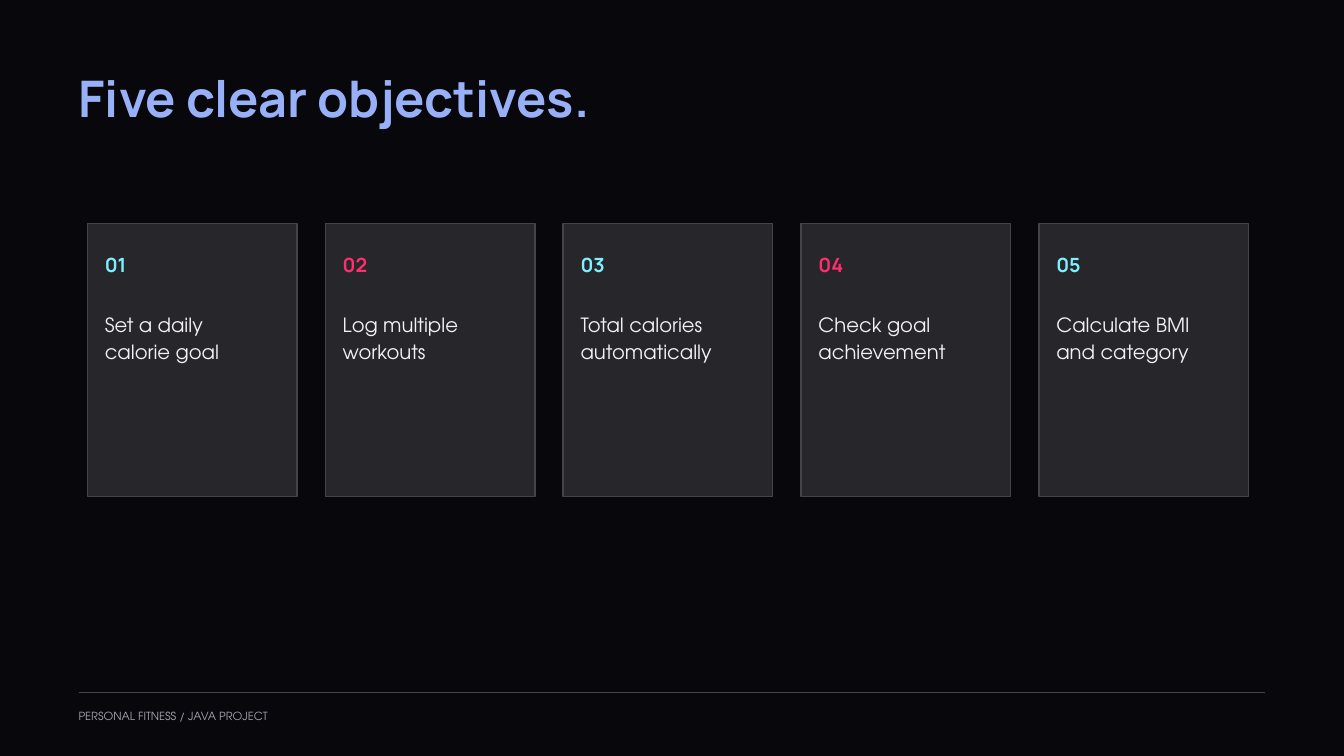
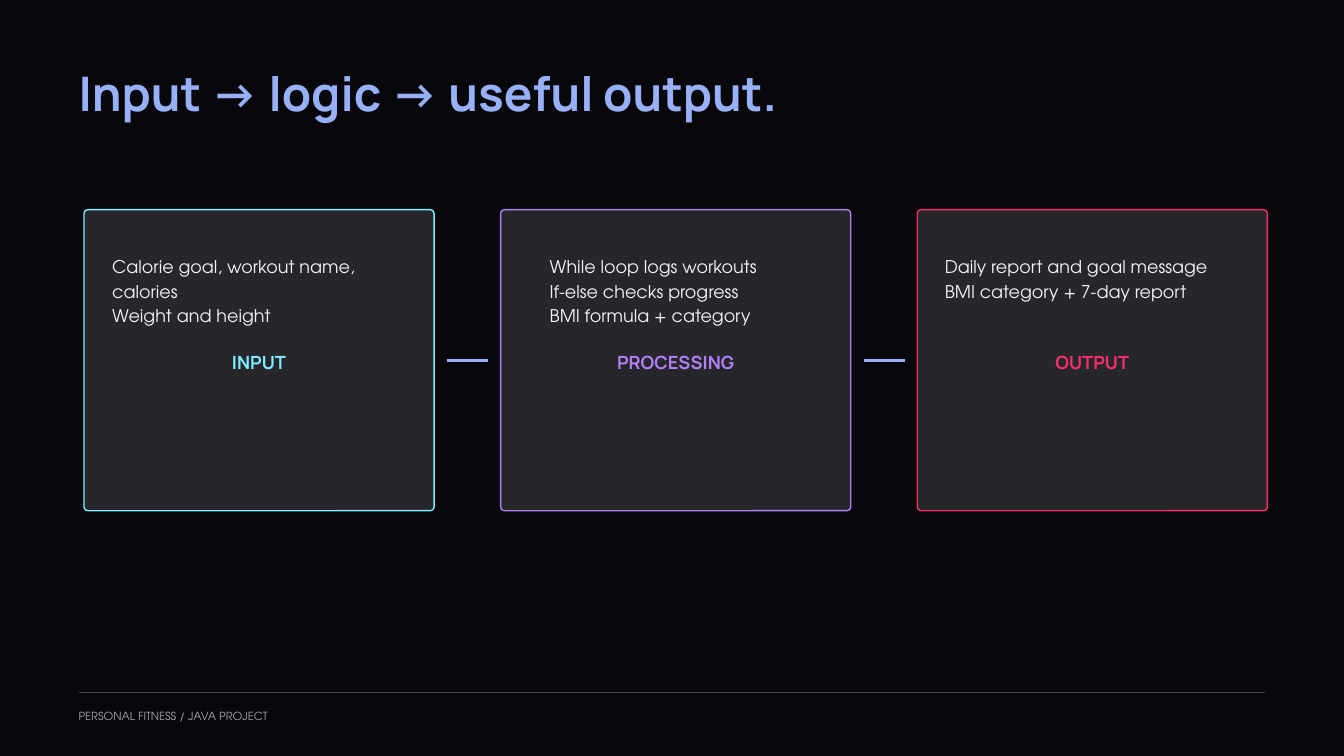
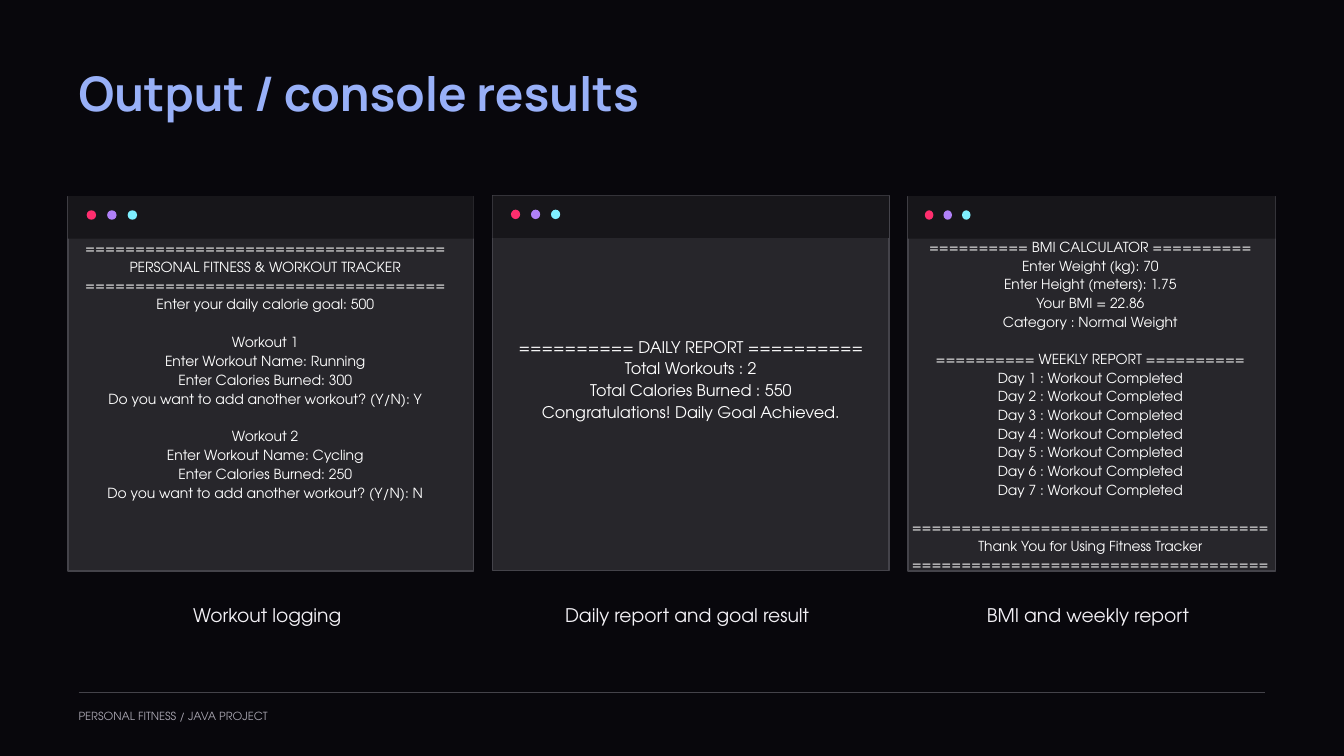
from dataclasses import dataclass
from typing import NamedTuple

from lxml.etree import SubElement
from pptx import Presentation
from pptx.dml.color import RGBColor
from pptx.enum.shapes import MSO_CONNECTOR, MSO_SHAPE
from pptx.enum.text import MSO_ANCHOR, PP_ALIGN
from pptx.oxml.ns import qn
from pptx.shapes.autoshape import Shape
from pptx.slide import Slide
from pptx.text.text import TextFrame
from pptx.util import Inches, Pt


class Style(NamedTuple):
    font: str
    size: float
    leading: float
    color: str
    bold: bool = False


@dataclass(frozen=True)
class Theme:
    bg: str = "08070C"
    panel: str = "27262B"
    bar: str = "17161A"
    rule: str = "44434A"
    blue: str = "98B0F8"
    cyan: str = "7EEFFF"
    violet: str = "B080F8"
    pink: str = "FF2E6E"
    light: str = "F3F1F6"
    muted: str = "AAA7B2"
    white: str = "FFFFFF"
    head: str = "Manrope"
    body: str = "TeX Gyre Adventor"

    def heading(self, size: float, leading: float, color: str) -> Style:
        return Style(self.head, size, leading, color, True)

    def text(self, size: float, leading: float, color: str) -> Style:
        return Style(self.body, size, leading, color)


T = Theme()
TITLE_LARGE = T.heading(54, 56.7, T.blue)
TITLE = T.heading(51, 53.5, T.blue)
FOOTER = T.text(12, 16.2, T.muted)
OBJECTIVE = T.text(21, 29, T.light)
STAGE_TEXT = T.text(18.8, 25.9, T.light)
CAPTION = T.text(20.1, 27.7, T.light)


class Box(NamedTuple):
    left: float
    top: float
    width: float
    height: float


class Stage(NamedTuple):
    name: str
    color: str
    text_left: float
    text_width: float
    lines: list[str]


class Console(NamedTuple):
    frame: Box
    caption: str
    text_box: Box
    size: float
    leading: float
    blocks: list[list[str]]  # a blank line's height separates blocks


# Content
OBJECTIVES = [
    ["Set a daily", "calorie goal"],
    ["Log multiple", "workouts"],
    ["Total calories", "automatically"],
    ["Check goal", "achievement"],
    ["Calculate BMI", "and category"],
]
STAGES = [
    Stage("INPUT", T.cyan, 1.67, 4.48,
          ["Calorie goal, workout name, calories", "Weight and height"]),
    Stage("PROCESSING", T.violet, 8.18, 4.48,
          ["While loop logs workouts", "If-else checks progress", "BMI formula + category"]),
    Stage("OUTPUT", T.pink, 14.06, 4.38,
          ["Daily report and goal message", "BMI category + 7-day report"]),
]
RULE = "=" * 36
SIDE = "=" * 10


def workout(number: int, name: str, calories: int, more: str) -> list[str]:
    return [f"Workout {number}", f"Enter Workout Name: {name}",
            f"Enter Calories Burned: {calories}",
            f"Do you want to add another workout? (Y/N): {more}"]


CONSOLES = [
    Console(Box(1.01, 2.92, 6.04, 5.58), "Workout logging",
            Box(1.17, 3.53, 5.55, 4.46), 14.9, 20.2,
            [[RULE, "PERSONAL FITNESS & WORKOUT TRACKER", RULE,
              "Enter your daily calorie goal: 500"],
             workout(1, "Running", 300, "Y"),
             workout(2, "Cycling", 250, "N")]),
    Console(Box(7.33, 2.91, 5.9, 5.58), "Daily report and goal result",
            Box(7.33, 4.98, 5.9, 1.28), 17.2, 23.3,
            [[f"{SIDE} DAILY REPORT {SIDE}", "Total Workouts : 2",
              "Total Calories Burned : 550", "Congratulations! Daily Goal Achieved."]]),
    Console(Box(13.51, 2.92, 5.47, 5.58), "BMI and weekly report",
            Box(12.92, 3.52, 6.61, 5), 14.8, 20,
            [[f"{SIDE} BMI CALCULATOR {SIDE}", "Enter Weight (kg): 70",
              "Enter Height (meters): 1.75", "Your BMI = 22.86",
              "Category : Normal Weight"],
             [f"{SIDE} WEEKLY REPORT {SIDE}",
              *(f"Day {day} : Workout Completed" for day in range(1, 8))],
             [RULE, "Thank You for Using Fitness Tracker", RULE]]),
]


# Drawing helpers
def write(tf: TextFrame, blocks: list[list[str]], style: Style,
          align: PP_ALIGN = PP_ALIGN.LEFT, inset: float = 0) -> None:
    tf.word_wrap = True
    tf.margin_left = tf.margin_right = tf.margin_top = tf.margin_bottom = Inches(inset)
    p = None
    for block in blocks:
        for i, line in enumerate(block):
            gap = p is not None and i == 0
            p = tf.paragraphs[0] if p is None else tf.add_paragraph()
            p.text = line
            p.alignment = align
            p.line_spacing = Pt(style.leading)
            if gap:
                p.space_before = Pt(style.leading)
            p.font.name, p.font.size, p.font.bold = style.font, Pt(style.size), style.bold
            p.font.color.rgb = RGBColor.from_string(style.color)


def add_text(s: Slide, box: Box, blocks: list[list[str]], style: Style,
             align: PP_ALIGN = PP_ALIGN.LEFT) -> None:
    tb = s.shapes.add_textbox(*map(Inches, box))
    write(tb.text_frame, blocks, style, align)


def add_panel(s: Slide, kind: MSO_SHAPE, box: Box, fill: str,
              line: str | None = None) -> Shape:
    sp = s.shapes.add_shape(kind, *map(Inches, box))
    sp.shadow.inherit = False
    sp.fill.solid()
    sp.fill.fore_color.rgb = RGBColor.from_string(fill)
    if line:
        sp.line.color.rgb = RGBColor.from_string(line)
        sp.line.width = Pt(1.5)
    else:
        sp.line.fill.background()
    return sp


def add_rule(s: Slide, x1: float, x2: float, y: float, color: str, width: float) -> None:
    cn = s.shapes.add_connector(MSO_CONNECTOR.STRAIGHT,
                                Inches(x1), Inches(y), Inches(x2), Inches(y))
    cn.line.color.rgb = RGBColor.from_string(color)
    cn.line.width = Pt(width)
    SubElement(cn.element.spPr, qn("a:effectLst"))


def add_base(prs: Presentation, title: str, box: Box, style: Style) -> Slide:
    """Blank slide with background, footer and title."""
    s = prs.slides.add_slide(prs.slide_layouts[6])
    s.background.fill.solid()
    s.background.fill.fore_color.rgb = RGBColor.from_string(T.bg)
    add_rule(s, 1.17, 18.83, 10.31, T.rule, 0.75)
    add_text(s, Box(1.17, 10.53, 5.42, 0.2), [["PERSONAL FITNESS / JAVA PROJECT"]], FOOTER)
    add_text(s, box, [[title]], style)
    return s


# Slides
def objectives_slide(prs: Presentation) -> None:
    s = add_base(prs, "Five clear objectives.", Box(1.17, 1.11, 10.42, 0.87), TITLE_LARGE)
    for i, lines in enumerate(OBJECTIVES):
        left = 1.3 + 3.54 * i
        add_panel(s, MSO_SHAPE.RECTANGLE, Box(left, 3.33, 3.12, 4.06), T.panel, T.rule)
        number = T.heading(21, 22.1, T.pink if i % 2 else T.cyan)
        add_text(s, Box(left + 0.26, 3.81, 0.94, 0.34), [[f"{i + 1:02}"]], number)
        add_text(s, Box(left + 0.26, 4.61, 2.6, 0.76), [lines], OBJECTIVE)


def flow_slide(prs: Presentation) -> None:
    s = add_base(prs, "Input → logic → useful output.", Box(1.17, 1.06, 13.54, 0.82), TITLE)
    width, height, pitch = 5.21, 4.48, 6.2
    for i, stage in enumerate(STAGES):
        left = 1.25 + pitch * i
        sp = add_panel(s, MSO_SHAPE.ROUNDED_RECTANGLE, Box(left, 3.12, width, height),
                       T.panel, stage.color)
        sp.adjustments[0] = 0.06 / height
        sp.text_frame.vertical_anchor = MSO_ANCHOR.MIDDLE
        write(sp.text_frame, [[stage.name]], T.heading(19.5, 27.3, stage.color),
              PP_ALIGN.CENTER, 0.06)
        if i:  # link from the previous stage
            add_rule(s, left - 0.8, left - 0.19, 5.36, T.blue, 3)
        add_text(s, Box(stage.text_left, 3.77, stage.text_width, 1.06),
                 [stage.lines], STAGE_TEXT)


def console_slide(prs: Presentation) -> None:
    s = add_base(prs, "Output / console results", Box(1.17, 1.06, 11.46, 0.82), TITLE)
    for c in CONSOLES:
        left, top, width, _ = c.frame
        add_panel(s, MSO_SHAPE.RECTANGLE, c.frame, T.panel, T.rule)
        add_panel(s, MSO_SHAPE.RECTANGLE, Box(left, top, width, 0.63), T.bar)
        # Window buttons scale with the window's width
        unit = width / 6.04
        for i, color in enumerate((T.pink, T.violet, T.cyan)):
            dot = Box(left + (0.28 + 0.305 * i) * unit, top + 0.21, 0.14 * unit, 0.14)
            add_panel(s, MSO_SHAPE.OVAL, dot, color)
        add_text(s, Box(left + 0.06, top + 6.02, width - 0.23, 0.36),
                 [[c.caption]], CAPTION, PP_ALIGN.CENTER)
        add_text(s, c.text_box, c.blocks, T.text(c.size, c.leading, T.white),
                 PP_ALIGN.CENTER)


def main() -> None:
    prs = Presentation()
    prs.slide_width, prs.slide_height = Inches(20), Inches(11.25)
    objectives_slide(prs)
    flow_slide(prs)
    console_slide(prs)
    prs.save("out.pptx")


if __name__ == "__main__":
    main()
